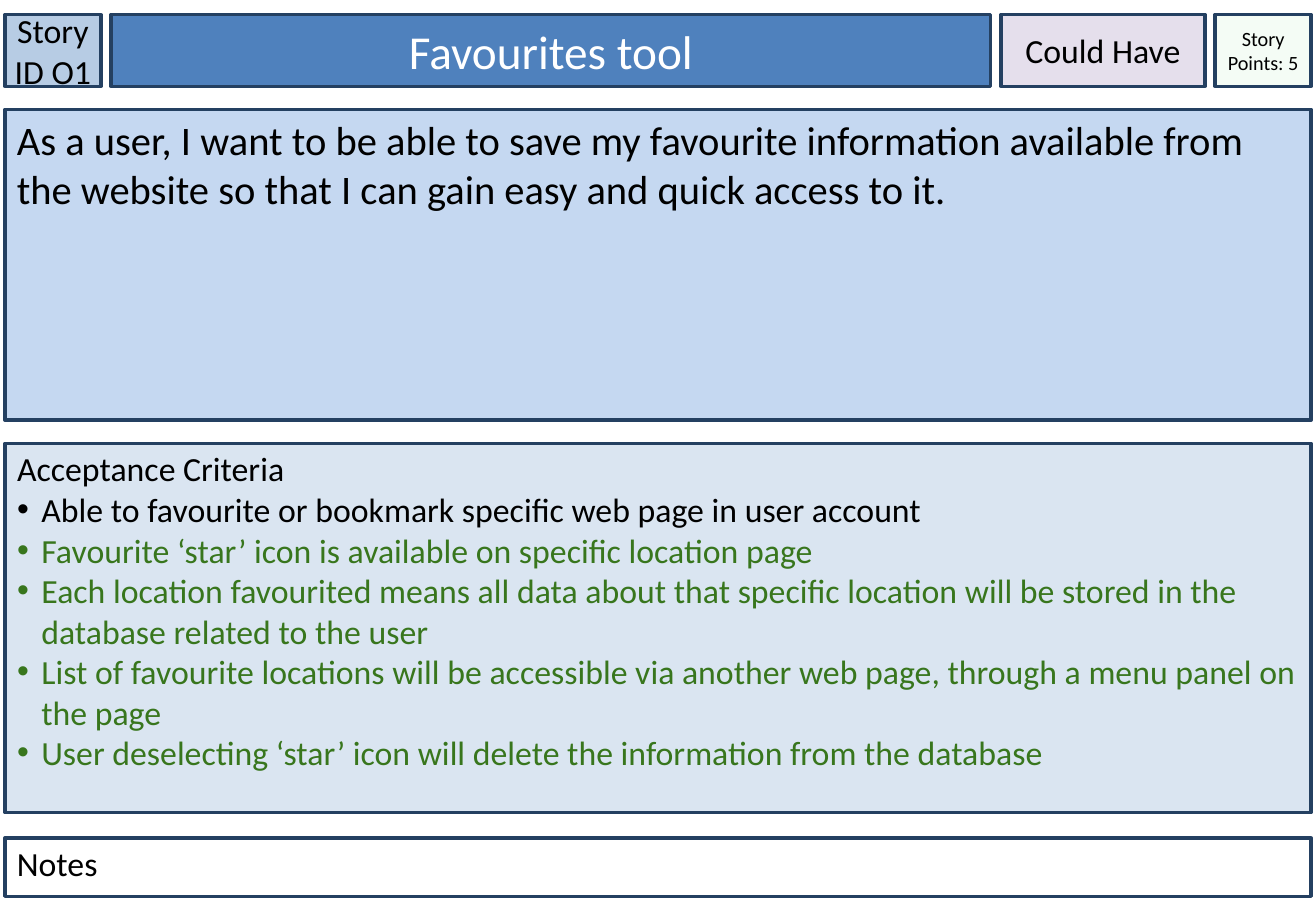
from lxml import etree
from pptx import Presentation
from pptx.dml.color import RGBColor
from pptx.enum.shapes import MSO_SHAPE
from pptx.enum.text import MSO_ANCHOR, MSO_AUTO_SIZE, PP_ALIGN
from pptx.oxml.ns import qn
from pptx.util import Inches, Pt

RECTANGLE = MSO_SHAPE.RECTANGLE
TOP, MIDDLE = MSO_ANCHOR.TOP, MSO_ANCHOR.MIDDLE
LEFT, CENTER = PP_ALIGN.LEFT, PP_ALIGN.CENTER
NO_AUTOFIT = MSO_AUTO_SIZE.NONE
BLACK, WHITE, GREEN, NAVY = "000000", "FFFFFF", "38761D", "244061"


def color(hex_value):
    return RGBColor.from_string(hex_value)


def fill_card(card, box, fill, lines, size, align, anchor, side, top_inset=0.05):
    card.left, card.top, card.width, card.height = [Inches(v) for v in box]
    card.fill.solid()
    card.fill.fore_color.rgb = color(fill)
    card.line.color.rgb = color(NAVY)
    card.line.width = Pt(2)
    frame = card.text_frame
    settings = {
        "word_wrap": True,
        "auto_size": NO_AUTOFIT,
        "vertical_anchor": anchor,
        "margin_left": Inches(side),
        "margin_right": Inches(side),
        "margin_top": Inches(top_inset),
        "margin_bottom": Inches(0.05),
    }
    for name, value in settings.items():
        setattr(frame, name, value)
    for index, (text, ink, bulleted) in enumerate(lines):
        paragraph = frame.paragraphs[0] if index == 0 else frame.add_paragraph()
        properties = paragraph._p.get_or_add_pPr()
        indent = Inches(0.2) if bulleted else 0
        properties.set("marL", str(indent))
        properties.set("indent", str(-indent))
        if bulleted:
            bullet_color = etree.SubElement(properties, qn("a:buClr"))
            etree.SubElement(bullet_color, qn("a:srgbClr"), val=ink)
            etree.SubElement(properties, qn("a:buChar"), char="•")
        else:
            etree.SubElement(properties, qn("a:buNone"))
        paragraph.alignment = align
        paragraph.space_before = Pt(0)
        run = paragraph.add_run()
        run.text = text
        run.font.name = "Calibri"
        run.font.size = Pt(size)
        run.font.color.rgb = color(ink)


prs = Presentation()
prs.slide_width, prs.slide_height = Inches(10.83), Inches(7.5)
slide = prs.slides.add_slide(prs.slide_layouts[1])
title, criteria = slide.placeholders

MARGIN, FULL_WIDTH = 0.04, 10.75
HEADER_TOP, HEADER_HEIGHT = 0.12, 0.59
header_cells = [
    ("Story ID O1", 0.79, "B7CCE4", BLACK, 20, 0),
    ("Favourites tool", 7.24, "4F81BD", WHITE, 28, 0.1),
    ("Could Have", 1.68, "E5DFEC", BLACK, 20, 0),
    ("Story Points: 5", 0.79, "CCF0CD", BLACK, 12, 0),
]
header_gap = (FULL_WIDTH - sum(cell[1] for cell in header_cells)) / (len(header_cells) - 1)

left = MARGIN
for text, width, fill, ink, size, side in header_cells:
    if text == "Favourites tool":
        card = title
    else:
        card = slide.shapes.add_shape(RECTANGLE, 0, 0, 0, 0)
        card.shadow.inherit = False
    fill_card(card, (left, HEADER_TOP, width, HEADER_HEIGHT), fill,
              [(text, ink, False)], size, CENTER, MIDDLE, side)
    left += width + header_gap

story_points = card
points_fill = story_points._element.spPr.find(qn("a:solidFill"))
etree.SubElement(points_fill[0], qn("a:alpha"), val="20000")

story = ("As a user, I want to be able to save my favourite information available "
         "from the website so that I can gain easy and quick access to it.")
panels = [
    (story, 0.9, 2.56, "C5D8F1", 24, 0.05),
    ("Notes", 6.9, 0.48, WHITE, 20, 0.04),
]
for text, top, height, fill, size, top_inset in panels:
    panel = slide.shapes.add_shape(RECTANGLE, 0, 0, 0, 0)
    panel.shadow.inherit = False
    fill_card(panel, (MARGIN, top, FULL_WIDTH, height), fill,
              [(text, BLACK, False)], size, LEFT, TOP, 0.1, top_inset)

criteria_lines = [
    ("Acceptance Criteria", BLACK, False),
    ("Able to favourite or bookmark specific web page in user account", BLACK, True),
    ("Favourite ‘star’ icon is available on specific location page", GREEN, True),
    ("Each location favourited means all data about that specific location "
     "will be stored in the database related to the user", GREEN, True),
    ("List of favourite locations will be accessible via another web page, "
     "through a menu panel on the page", GREEN, True),
    ("User deselecting ‘star’ icon will delete the information from the database", GREEN, True),
]
fill_card(criteria, (MARGIN, 3.65, FULL_WIDTH, 3.04), "DAE5F1",
          criteria_lines, 20, LEFT, TOP, 0.1, 0.04)

prs.save("out.pptx")
